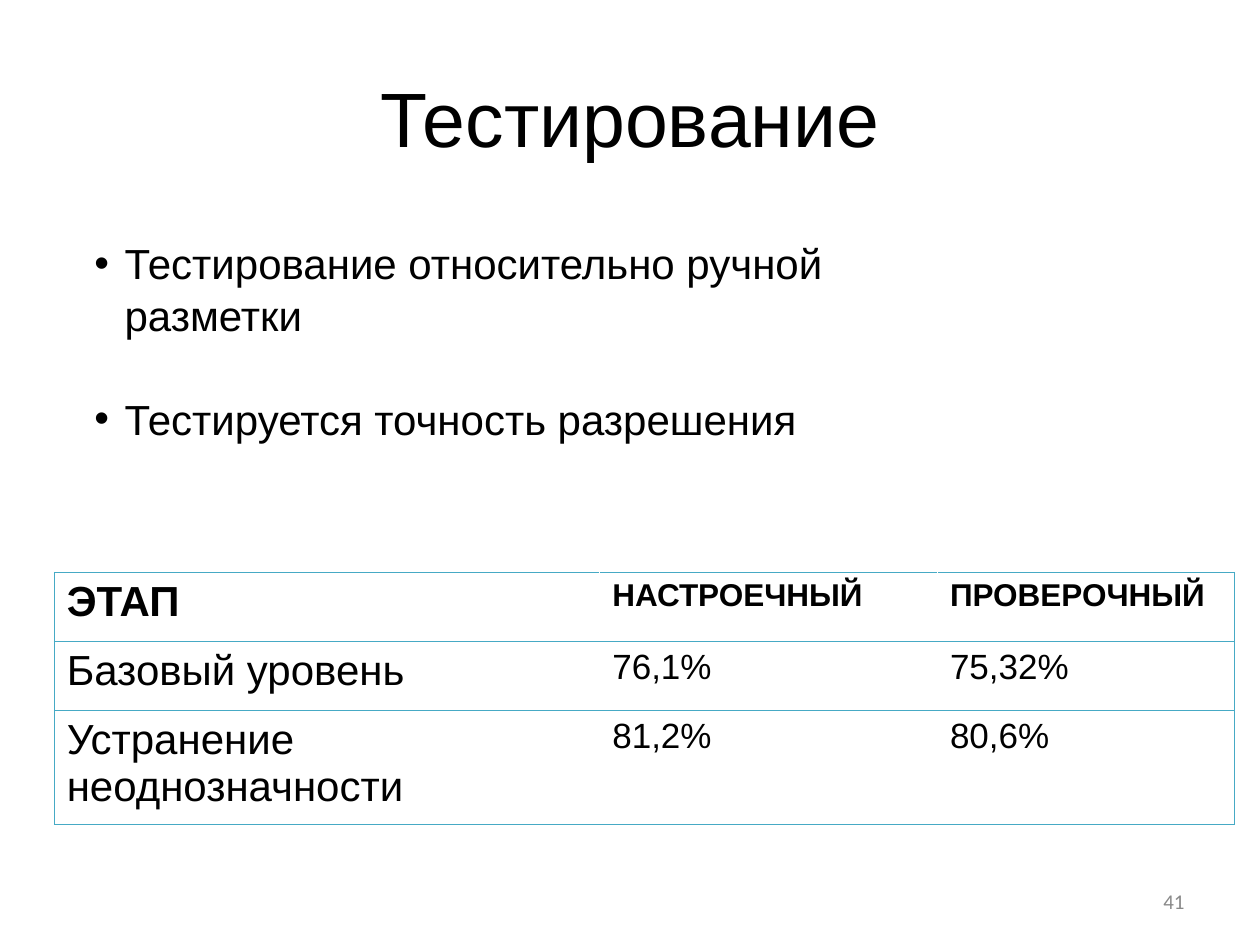
from lxml import etree
from pptx import Presentation
from pptx import util as u
from pptx.dml.color import RGBColor
from pptx.enum import text
from pptx.oxml import ns

BLACK = RGBColor(0x00, 0x00, 0x00)
WHITE = RGBColor(0xFF, 0xFF, 0xFF)
GREY = RGBColor(0x89, 0x89, 0x89)
TEAL = RGBColor(0x46, 0xAA, 0xC5)


def px(n):
    """Turn px, 100 to the inch, into EMU."""
    return u.Emu(n * 9144)


def sub(node, tag, **attrs):
    return etree.SubElement(node, ns.qn(tag), attrs)


class Deck:
    font = "Arial"
    size = 24

    def __init__(self, width, height):
        self.prs = Presentation()
        self.prs.slide_width, self.prs.slide_height = px(width), px(height)
        self.slide = self.prs.slides.add_slide(self.prs.slide_layouts[6])

    def style(self, frame, size=None, color=BLACK, font=None, bold=False):
        for para in frame.paragraphs:
            for run in para.runs:
                run.font.name = font or self.font
                run.font.size = u.Pt(size or self.size)
                run.font.bold = bold
                run.font.color.rgb = color

    def label(self, words, box, align, anchor=text.MSO_ANCHOR.MIDDLE, **look):
        frame = self.slide.shapes.add_textbox(*map(px, box)).text_frame
        frame.word_wrap = True
        frame.vertical_anchor = anchor
        frame.text = words
        for para in frame.paragraphs:
            para.alignment = align
        self.style(frame, **look)
        return frame

    def bullets(self, items, box, indent, gap):
        frame = self.label("\n".join(items), box, text.PP_ALIGN.LEFT,
                           text.MSO_ANCHOR.TOP)
        for i, para in enumerate(frame.paragraphs):
            para.line_spacing = 1.04
            para.space_before = u.Pt(gap if i else 0)
            props = para._p.get_or_add_pPr()
            props.set("marL", str(px(indent)))
            props.set("indent", str(-px(indent)))
            sub(props, "a:buFont", typeface=self.font)
            sub(props, "a:buChar", char="•")

    def border(self, cell, sides):
        props = cell._tc.get_or_add_tcPr()
        for side in sides:
            line = sub(props, "a:ln" + side, w=str(u.Pt(0.34)))
            fill = sub(line, "a:solidFill")
            sub(fill, "a:srgbClr", val=str(TEAL))

    def table(self, rows, left, top, cols, heights, sizes):
        grid = self.slide.shapes.add_table(
            len(rows), len(cols), px(left), px(top),
            px(sum(cols)), px(sum(heights))).table
        grid.first_row = grid.horz_banding = False
        for col, width in zip(grid.columns, cols):
            col.width = px(width)
        for row, height in zip(grid.rows, heights):
            row.height = px(height)
        last = len(cols) - 1
        for r, words in enumerate(rows):
            for c, word in enumerate(words):
                cell = grid.cell(r, c)
                cell.text_frame.text = word
                self.style(cell.text_frame, sizes[r][c], bold=r == 0)
                # Outer frame and row rules only
                sides = ["L"] * (c == 0) + ["R"] * (c == last) + ["T", "B"]
                self.border(cell, sides)
                cell.fill.solid()
                cell.fill.fore_color.rgb = WHITE


def main():
    deck = Deck(1000, 750)

    # Title and page number
    deck.label("Тестирование", (50, 30, 900, 125),
               text.PP_ALIGN.CENTER, size=44)
    deck.label("41", (717, 695, 233, 40), text.PP_ALIGN.RIGHT,
               size=12, color=GREY, font="Calibri")

    # Points
    deck.bullets(["Тестирование относительно ручной разметки",
                  "Тестируется точность разрешения"],
                 (65, 182, 742, 169), indent=24, gap=29)

    # Results
    head, body = (24, 18, 18), (24, 20, 20)
    deck.table([("ЭТАП", "НАСТРОЕЧНЫЙ", "ПРОВЕРОЧНЫЙ"),
                ("Базовый уровень", "76,1%", "75,32%"),
                ("Устранение\nнеоднозначности", "81,2%", "80,6%")],
               43, 454, (433, 268, 236), (55, 55, 90), (head, body, body))

    deck.prs.save("out.pptx")


if __name__ == "__main__":
    main()
